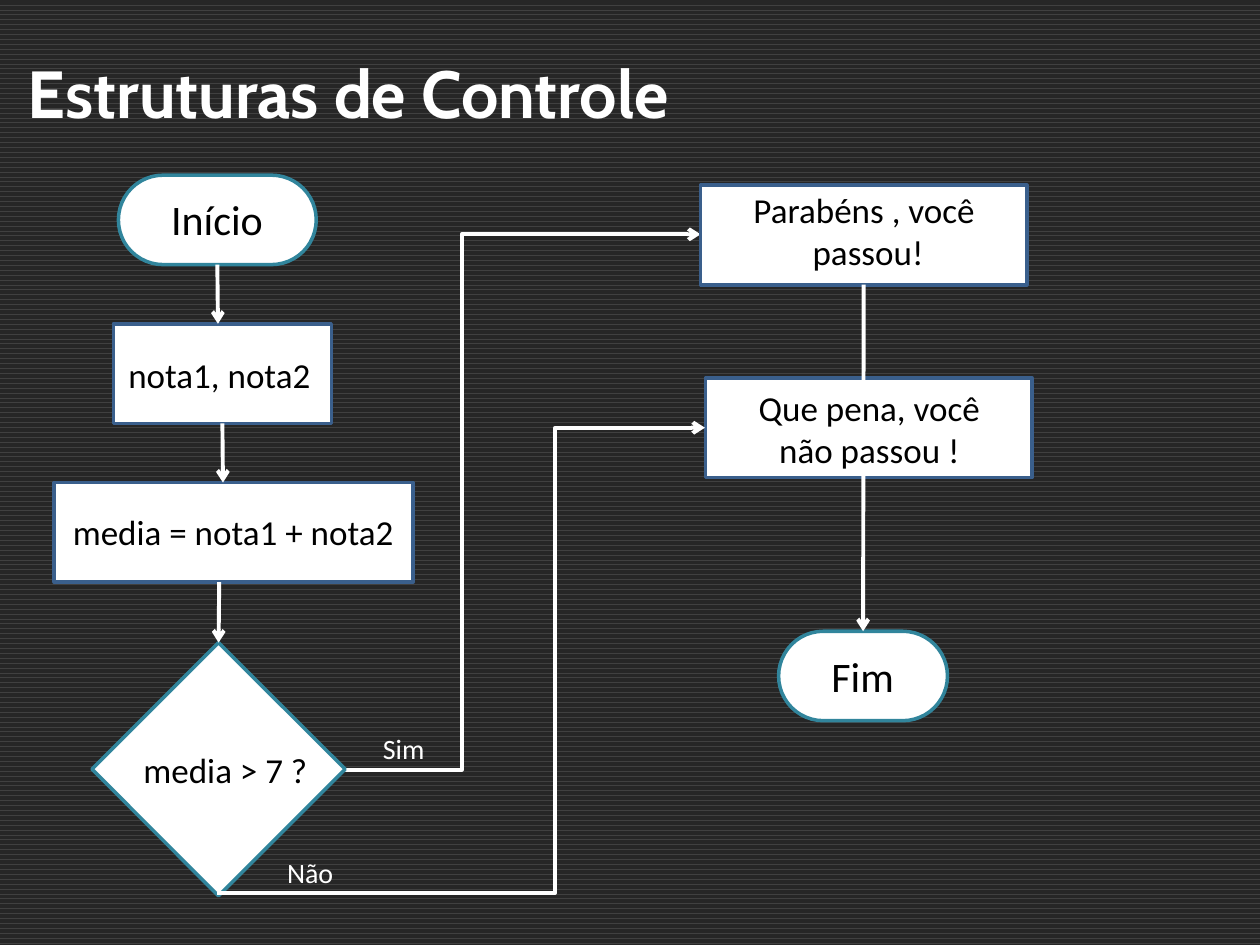
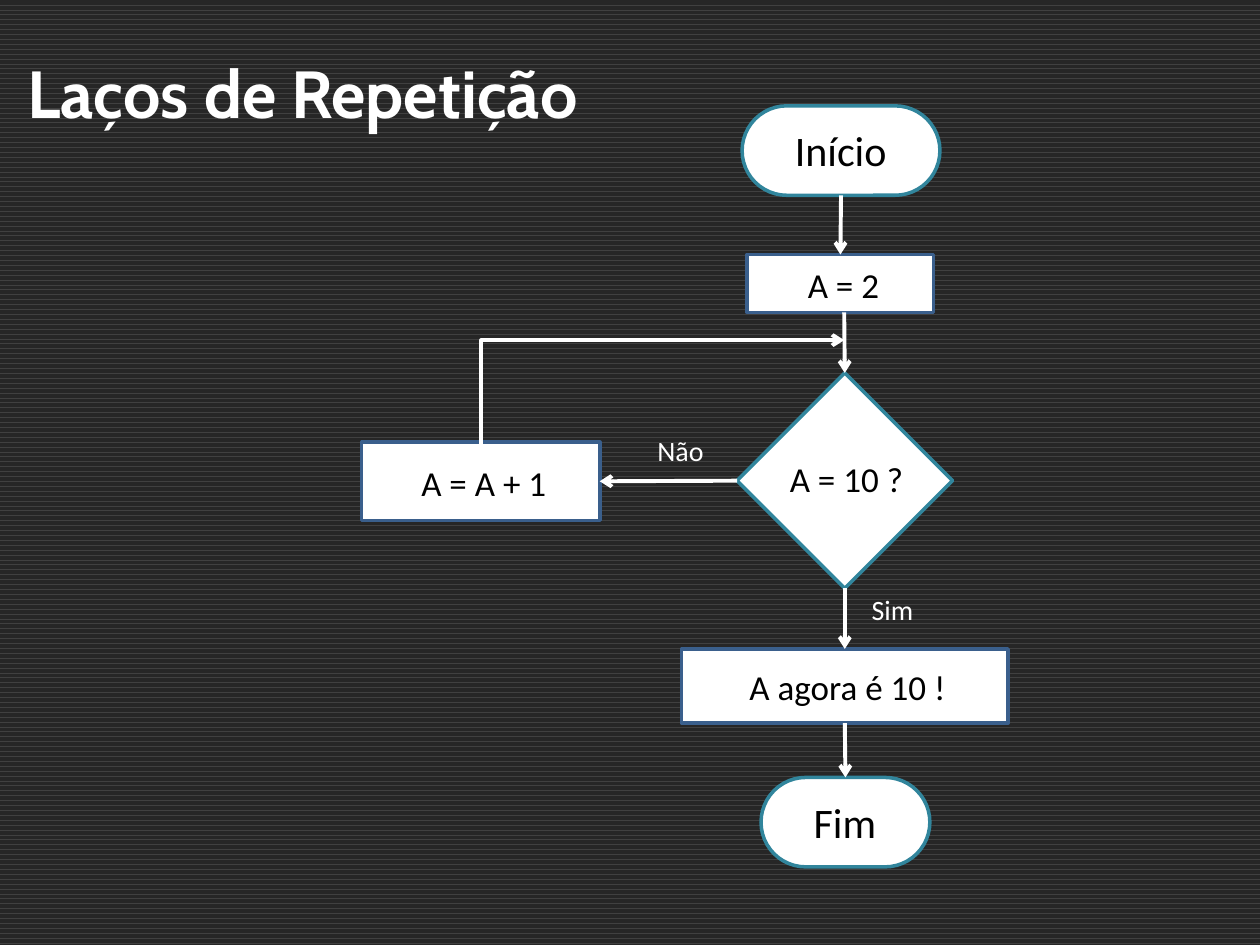
from lxml import etree
from pptx import Presentation
from pptx.dml.color import RGBColor
from pptx.enum import dml, shapes, text
from pptx.oxml.ns import qn
from pptx.util import Inches, Pt

WHITE = RGBColor(0xFF, 0xFF, 0xFF)
BLACK = RGBColor(0x00, 0x00, 0x00)
TEAL = RGBColor(0x31, 0x85, 0x9C)
BLUE = RGBColor(0x3A, 0x5F, 0x8C)
CHARCOAL = RGBColor(0x26, 0x26, 0x26)
GREY = RGBColor(0x40, 0x40, 0x40)
TOP, LEFT, BOTTOM, RIGHT = range(4)
SHAPE = shapes.MSO_SHAPE
CONNECTOR = shapes.MSO_CONNECTOR


def add_text(page, words, left, top, width, height=None, *, size=20, font="Calibri",
             color=BLACK, bold=False, align=text.PP_ALIGN.LEFT, wrap=False):
    lines = words.split("\n")
    if height is None:
        height = 0.1 + len(lines) * size * 1.22 / 72
    box = page.shapes.add_textbox(Inches(left), Inches(top), Inches(width), Inches(height))
    frame = box.text_frame
    frame.word_wrap = wrap
    frame.auto_size = text.MSO_AUTO_SIZE.NONE if wrap else text.MSO_AUTO_SIZE.SHAPE_TO_FIT_TEXT
    for index, line in enumerate(lines):
        para = frame.add_paragraph() if index else frame.paragraphs[0]
        para.alignment = align
        span = para.add_run()
        span.text = line
        span.font.name = font
        span.font.size = Pt(size)
        span.font.bold = bold
        span.font.color.rgb = color


def add_centered(page, words, left, top, width):
    add_text(page, words, left, top, width, align=text.PP_ALIGN.CENTER)


def add_answer(page, words, left, top, width):
    add_text(page, words, left, top, width, size=16, color=WHITE)


def add_node(page, kind, outline, left, top, width, height):
    node = page.shapes.add_shape(kind, Inches(left), Inches(top), Inches(width), Inches(height))
    node.shadow.inherit = False
    node.fill.solid()
    node.fill.fore_color.rgb = WHITE
    node.line.color.rgb = outline
    node.line.width = Pt(2)
    return node


def add_step(page, left, top, width, height=0.79):
    return add_node(page, SHAPE.RECTANGLE, BLUE, left, top, width, height)


def add_decision(page, left, top, side):
    return add_node(page, SHAPE.DIAMOND, TEAL, left, top, side, side)


def add_terminal(page, words, left, top, width):
    node = add_node(page, SHAPE.ROUNDED_RECTANGLE, TEAL, left, top, width, 0.71)
    node.adjustments[0] = 0.5
    add_text(page, words, left + 0.32, top + 0.1, width - 0.64, size=24)
    return node


def style_arrow(arrow):
    arrow.line.color.rgb = WHITE
    arrow.line.width = Pt(2.25)
    etree.SubElement(arrow.line._get_or_add_ln(), qn("a:tailEnd"), type="arrow")
    etree.SubElement(arrow._element.spPr, qn("a:effectLst"))


def add_arrow(page, start, end):
    arrow = page.shapes.add_connector(CONNECTOR.STRAIGHT, 0, 0, 0, 0)
    first, second = start
    if isinstance(first, (int, float)):
        arrow.begin_x, arrow.begin_y = Inches(first), Inches(second)
    else:
        arrow.begin_connect(first, second)
    first, second = end
    if isinstance(first, (int, float)):
        arrow.end_x, arrow.end_y = Inches(first), Inches(second)
    else:
        arrow.end_connect(first, second)
    style_arrow(arrow)


def add_elbow(page, left, top, width, height, *, bends, turn=0, flip_h=False, adjust=()):
    arrow = page.shapes.add_connector(
        CONNECTOR.ELBOW, Inches(left), Inches(top), Inches(left + width), Inches(top + height))
    frame = arrow._element.spPr.find(qn("a:xfrm"))
    frame.set("rot", str(turn * 60000))
    frame.set("flipH", str(int(flip_h)))
    frame.set("flipV", "1")
    geometry = arrow._element.spPr.find(qn("a:prstGeom"))
    geometry.set("prst", f"bentConnector{bends + 1}")
    guides = geometry.find(qn("a:avLst"))
    for number, share in enumerate(adjust, 1):
        etree.SubElement(guides, qn("a:gd"), name=f"adj{number}",
                         fmla=f"val {round(share * 100000)}")
    style_arrow(arrow)


def add_page(deck, title):
    page = deck.slides.add_slide(deck.slide_layouts[6])
    fill = page.background.fill
    fill.patterned()
    fill.pattern = dml.MSO_PATTERN.WAVE
    fill.fore_color.rgb = GREY
    fill.back_color.rgb = CHARCOAL
    add_text(page, title, 0.12, 0.36, 9.69, 0.63, size=38, font="Cabin",
             color=WHITE, bold=True, wrap=True)
    return page


def build_control_page(deck):
    page = add_page(deck, "Estruturas de Controle")
    start = add_terminal(page, "Início", 0.94, 1.39, 1.57)
    grades = add_step(page, 0.9, 2.57, 1.73)
    add_text(page, "nota1, nota2", 0.92, 2.76, 1.66)
    add_step(page, 0.43, 3.83, 2.85)
    add_text(page, "media = nota1 + nota2", 0.48, 4, 2.77)
    add_elbow(page, 1.14, 1.86, 4.42, 4.25, bends=2, adjust=(0.571,))
    decision = add_decision(page, 0.73, 5.1, 2.01)
    add_arrow(page, (start, BOTTOM), (1.73, 2.57))
    add_arrow(page, (grades, BOTTOM), (1.77, 3.83))
    add_arrow(page, (1.74, 4.62), (decision, TOP))
    add_text(page, "media > 7 ?", 1.04, 5.89, 1.51)
    passed = add_step(page, 5.56, 1.47, 2.59)
    add_centered(page, "Parabéns , você \npassou!", 5.87, 1.45, 2.04)
    add_answer(page, "Sim", 2.94, 5.76, 0.54)
    add_step(page, 5.6, 3, 2.59)
    finish = add_terminal(page, "Fim", 6.18, 5.01, 1.34)
    add_arrow(page, (passed, BOTTOM), (finish, TOP))
    add_centered(page, "Que pena, você\nnão passou !", 5.91, 3.02, 1.98)
    add_elbow(page, 1.81, 3.32, 3.71, 3.86, bends=3, turn=90, flip_h=True,
              adjust=(0.005, 0.692))
    add_answer(page, "Não", 2.18, 6.74, 0.6)


def build_loop_page(deck):
    page = add_page(deck, "Laços de Repetição")
    start = add_terminal(page, "Início", 5.89, 0.84, 1.57)
    decision = add_decision(page, 5.85, 2.96, 1.71)
    add_text(page, "A = 10 ?", 6.17, 3.58, 1.11)
    increment = add_step(page, 2.87, 3.51, 1.89, 0.62)
    add_centered(page, "A = A + 1", 3.24, 3.61, 1.2)
    add_answer(page, "Sim", 6.82, 4.65, 0.54)
    add_answer(page, "Não", 5.12, 3.39, 0.6)
    result = add_step(page, 5.41, 5.15, 2.59, 0.59)
    add_text(page, "A agora é 10 !", 5.85, 5.23, 1.77)
    finish = add_terminal(page, "Fim", 6.04, 6.17, 1.34)
    initial = add_step(page, 5.93, 2.02, 1.48, 0.46)
    add_centered(page, "A = 2", 6.31, 2.04, 0.77)
    add_arrow(page, (start, BOTTOM), (initial, TOP))
    add_arrow(page, (6.7, 2.48), (decision, TOP))
    add_arrow(page, (decision, LEFT), (increment, RIGHT))
    add_elbow(page, 4.82, 1.7, 0.88, 2.88, bends=1, turn=90, flip_h=True)
    add_arrow(page, (decision, BOTTOM), (result, TOP))
    add_arrow(page, (result, BOTTOM), (finish, TOP))


def main():
    deck = Presentation()
    deck.slide_width = Inches(10)
    deck.slide_height = Inches(7.5)
    build_control_page(deck)
    build_loop_page(deck)
    deck.save("out.pptx")


if __name__ == "__main__":
    main()
